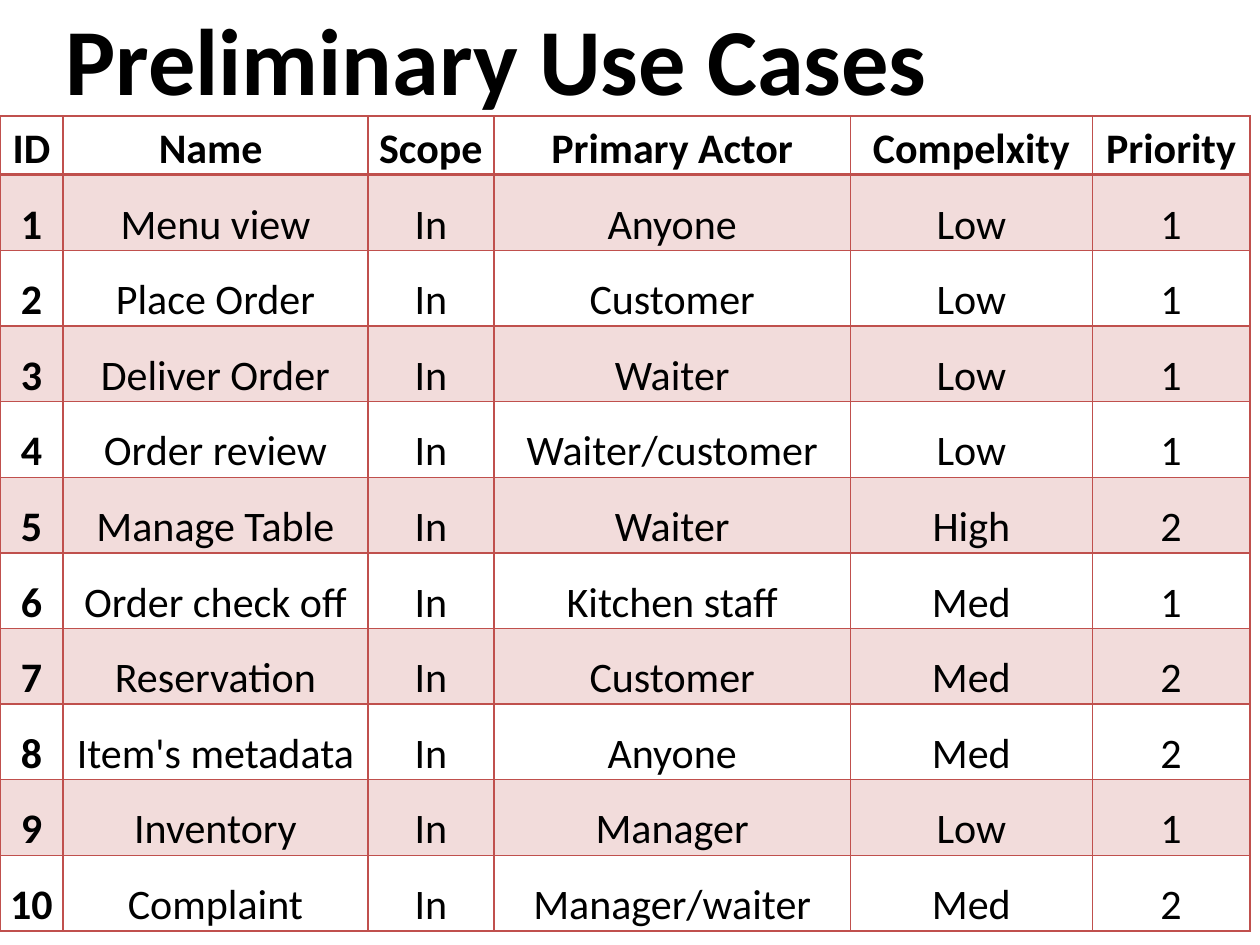
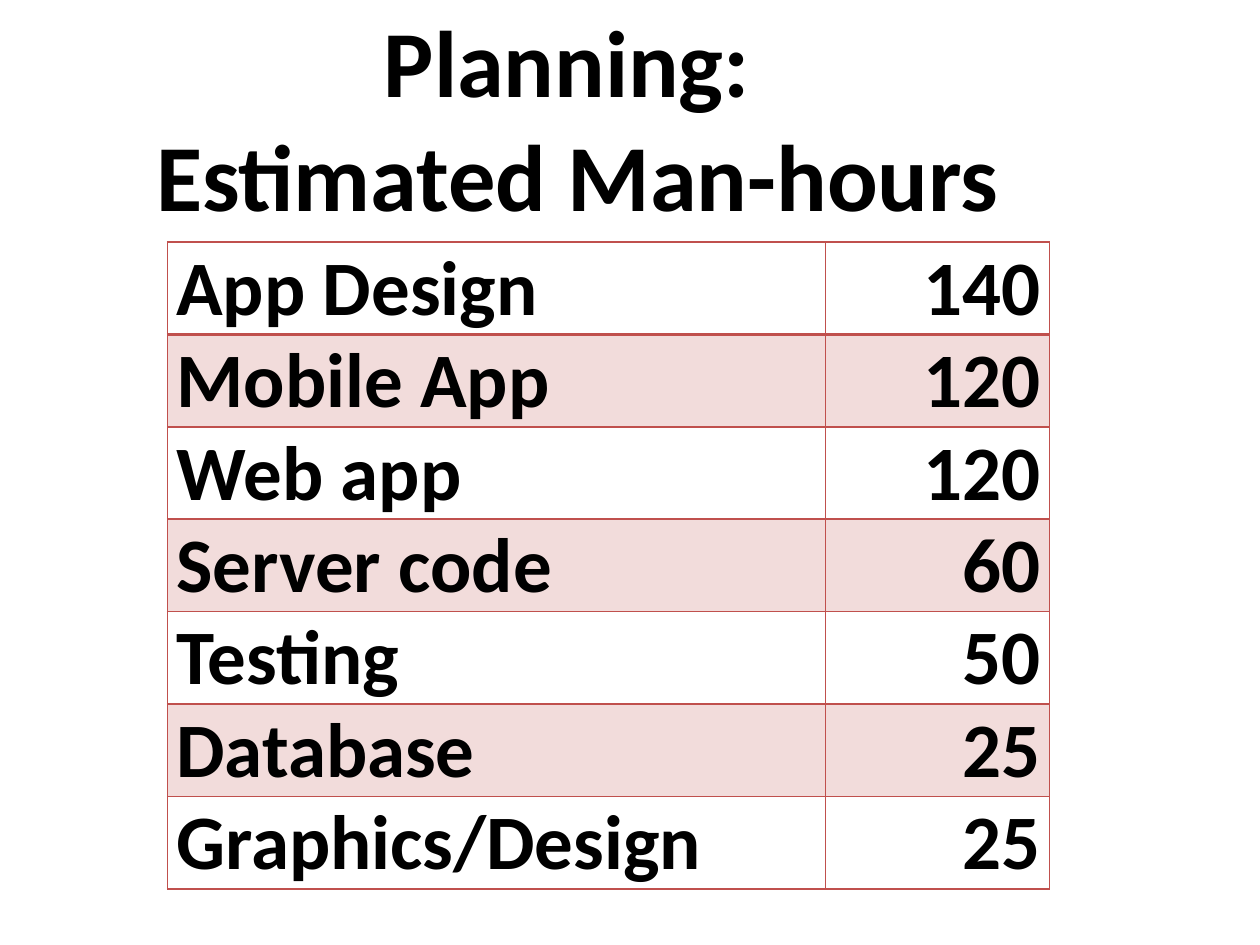
from lxml.etree import SubElement
from pptx import Presentation
from pptx.dml.color import RGBColor as RGB
from pptx.enum.text import MSO_ANCHOR as ANCHOR, PP_ALIGN as ALIGN
from pptx.oxml import parse_xml
from pptx.oxml.ns import nsdecls, qn
from pptx.util import Pt

PX = 9144  # EMU; 100 px to the inch
COLORS = {"text": "000000", "accent": "C0504D"}
FONT = "Calibri"
TITLE_SIZE = 54
BAND_ALPHA = 20  # percent
CELL_INSET = 7

USE_CASES = [
    ("ID", "Name ", "Scope", "Primary Actor", "Compelxity", "Priority"),
    ("1", "Menu view", "In", "Anyone", "Low", "1"),
    ("2", "Place Order", "In", "Customer", "Low", "1"),
    ("3", "Deliver Order", "In", "Waiter", "Low", "1"),
    ("4", "Order review", "In", "Waiter/customer", "Low", "1"),
    ("5", "Manage Table", "In", "Waiter", "High", "2"),
    ("6", "Order check off", "In", "Kitchen staff", "Med", "1"),
    ("7", "Reservation", "In", "Customer", "Med", "2"),
    ("8", "Item's metadata", "In", "Anyone", "Med", "2"),
    ("9", "Inventory", "In", "Manager", "Low", "1"),
    ("10", "Complaint", "In", "Manager/waiter", "Med", "2"),
]
MAN_HOURS = [
    ("App Design", "140"),
    ("Mobile App", "120"),
    ("Web app", "120"),
    ("Server code", "60"),
    ("Testing", "50"),
    ("Database", "25"),
    ("Graphics/Design", "25"),
]


class Deck:
    def __init__(self, width, height):
        self.prs = Presentation()
        self.prs.slide_width, self.prs.slide_height = width * PX, height * PX
        self.slide = None

    def add_slide(self):
        self.slide = self.prs.slides.add_slide(self.prs.slide_layouts[6])

    def style(self, p, size, bold, align):
        p.alignment = align
        for r in p.runs:
            r.font.name, r.font.size, r.font.bold = FONT, Pt(size), bold
            r.font.color.rgb = RGB.from_string(COLORS["text"])

    def title(self, text, box, align=ALIGN.LEFT):
        sp = self.slide.shapes.add_textbox(*(n * PX for n in box))
        tf = sp.text_frame
        tf.word_wrap = True
        tf.vertical_anchor = ANCHOR.MIDDLE
        p = tf.paragraphs[0]
        p.text = text
        self.style(p, TITLE_SIZE, True, align)

    def borders(self, cell, row):
        """Draw 1 pt edges, and a 2 pt rule under the first row."""
        widths = {"L": 1, "R": 1, "T": 2 if row == 1 else 1, "B": 2 if row == 0 else 1}
        tc_pr = cell._tc.get_or_add_tcPr()
        for i, (side, width) in enumerate(widths.items()):
            tc_pr.insert(i, parse_xml(
                f'<a:ln{side} {nsdecls("a")} w="{Pt(width)}"><a:solidFill>'
                f'<a:srgbClr val="{COLORS["accent"]}"/></a:solidFill></a:ln{side}>'))

    def band(self, cell, row):
        """Tint every second row and leave the others clear."""
        if row % 2 == 0:
            cell.fill.background()
            return
        cell.fill.solid()
        cell.fill.fore_color.rgb = RGB.from_string(COLORS["accent"])
        color = cell._tc.tcPr.find(qn("a:solidFill")).find(qn("a:srgbClr"))
        SubElement(color, qn("a:alpha"), val=str(BAND_ALPHA * 1000))

    def table(self, rows, left, top, col_widths, row_heights, size, aligns,
              all_bold=False, anchor=ANCHOR.TOP, spacing=None):
        table = self.slide.shapes.add_table(
            len(rows), len(col_widths), left * PX, top * PX,
            sum(col_widths) * PX, sum(row_heights) * PX).table
        table.first_row = table.horz_banding = False
        for col, width in zip(table.columns, col_widths):
            col.width = width * PX
        for row, height in zip(table.rows, row_heights):
            row.height = height * PX
        for i, texts in enumerate(rows):
            for j, text in enumerate(texts):
                cell = table.cell(i, j)
                cell.margin_left = cell.margin_right = CELL_INSET * PX
                cell.margin_top = cell.margin_bottom = 0
                cell.vertical_anchor = anchor
                p = cell.text_frame.paragraphs[0]
                p.text = text
                p.line_spacing = spacing
                self.style(p, size, all_bold or i == 0 or j == 0, aligns[j])
                self.band(cell, i)
                self.borders(cell, i)


def main():
    deck = Deck(1000, 750)

    deck.add_slide()
    deck.table(USE_CASES, 0, 92, [50, 242, 100, 283, 192, 125],
               [43] + [60] * (len(USE_CASES) - 1), 24, [ALIGN.CENTER] * 6,
               anchor=ANCHOR.BOTTOM, spacing=1.15)
    deck.title("Preliminary Use Cases", (42, 0, 767, 92))

    deck.add_slide()
    deck.title("Planning: \vEstimated Man-hours", (50, 30, 817, 125), ALIGN.CENTER)
    deck.table(MAN_HOURS, 133, 192, [522, 178], [63] * len(MAN_HOURS), 44,
               [ALIGN.LEFT, ALIGN.RIGHT], all_bold=True)

    deck.prs.save("out.pptx")


if __name__ == "__main__":
    main()
